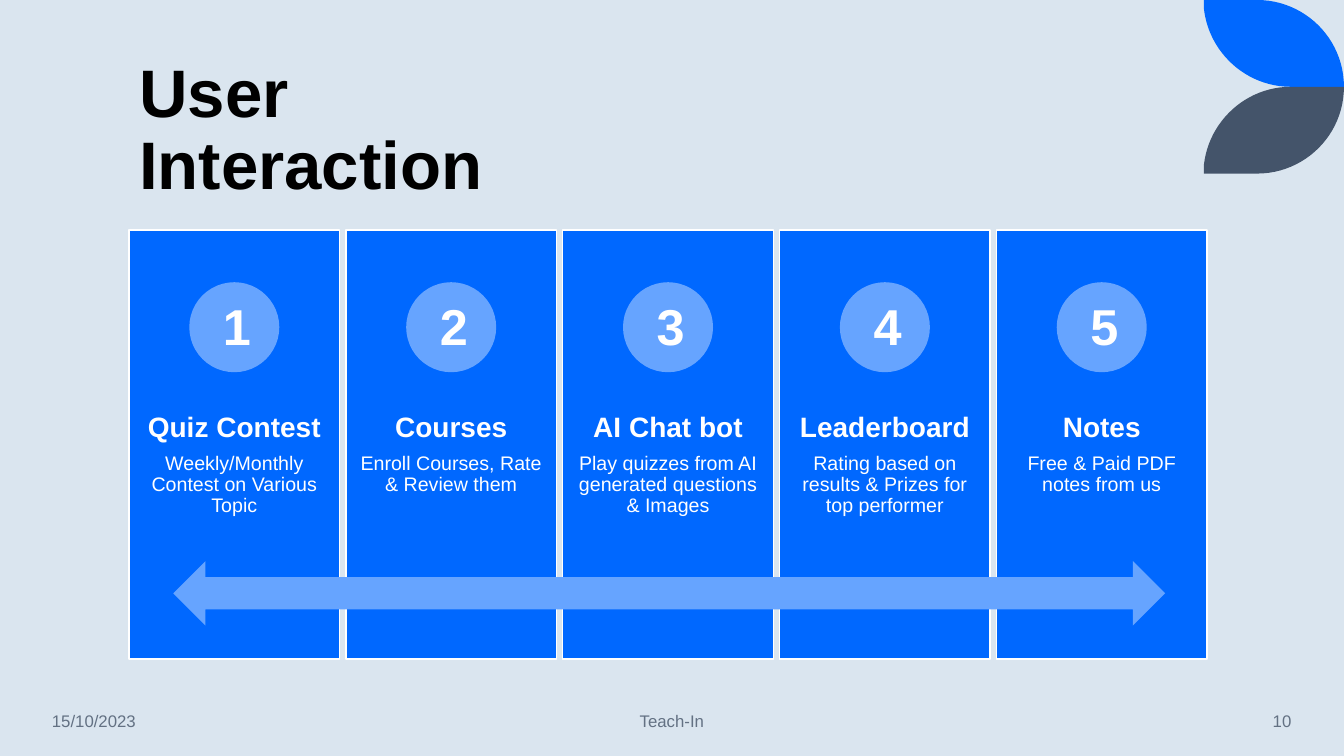
import dataclasses

import pptx
import pptx.dml.color
import pptx.enum.shapes
import pptx.enum.text
import pptx.util

Pt = pptx.util.Pt
Align = pptx.enum.text.PP_ALIGN
Anchor = pptx.enum.text.MSO_ANCHOR
Fit = pptx.enum.text.MSO_AUTO_SIZE
Shape = pptx.enum.shapes.MSO_SHAPE


@dataclasses.dataclass(frozen=True)
class Theme:
    font: str = "Arial"
    background: str = "DAE5EF"
    blue: str = "0068FF"
    light_blue: str = "66A4FF"
    slate: str = "44546A"
    white: str = "FFFFFF"
    black: str = "000000"
    grey: str = "637183"
    title: int = 48
    number: int = 36
    heading: int = 20
    body: int = 14
    footer: int = 12


THEME = Theme()

FEATURES = [
    ("Quiz Contest", "Weekly/Monthly Contest on Various Topic"),
    ("Courses", "Enroll Courses, Rate & Review them"),
    ("AI Chat bot", "Play quizzes from AI generated questions & Images"),
    ("Leaderboard", "Rating based on results & Prizes for top performer"),
    ("Notes", "Free & Paid PDF notes from us"),
]
FOOTERS = [
    ("15/10/2023", 30, 134, Align.LEFT),
    ("Teach-In", 318, 324, Align.CENTER),
    ("10", 799.2, 130.3, Align.RIGHT),
]
CARD_LEFT, CARD_TOP, CARD_WIDTH, CARD_HEIGHT = 92.2, 164.2, 150.4, 306.4
CARD_PITCH = 154.9
CIRCLE = 64.3


def rgb(value):
    return pptx.dml.color.RGBColor.from_string(value)


def write(p, text, size, color, bold=False, align=Align.LEFT, spacing=None, after=0):
    p.alignment = align
    p.line_spacing = spacing
    p.space_before = Pt(0)
    p.space_after = Pt(after)
    r = p.add_run()
    r.text = text
    r.font.name = THEME.font
    r.font.size = Pt(size)
    r.font.bold = bold
    r.font.color.rgb = rgb(color)


def paint(sp, fill, line=None):
    sp.shadow.inherit = False
    sp.fill.solid()
    sp.fill.fore_color.rgb = rgb(fill)
    if line:
        sp.line.color.rgb = rgb(line)
        sp.line.width = Pt(1)
    else:
        sp.line.fill.background()


def add_shape(s, kind, x, y, w, h, fill, line=None):
    sp = s.shapes.add_shape(kind, Pt(x), Pt(y), Pt(w), Pt(h))
    paint(sp, fill, line)
    return sp


def add_text(s, x, y, w, h, anchor=Anchor.TOP):
    tf = s.shapes.add_textbox(Pt(x), Pt(y), Pt(w), Pt(h)).text_frame
    tf.word_wrap = True
    tf.vertical_anchor = anchor
    return tf


def curve(a, b, c, d, steps=24):
    points = []
    for i in range(steps + 1):
        t = i / steps
        u = 1 - t
        weights = (u**3, 3 * u * u * t, 3 * u * t * t, t**3)
        points.append(tuple(sum(k * q[axis] for k, q in zip(weights, (a, b, c, d)))
                            for axis in (0, 1)))
    return points


def add_leaf(s, color, base, direction):
    outline = [(860, 0)]
    outline += curve((898, 0), (932, 0), (960, 27.6), (960, 62))
    outline += curve((922, 62), (890, 62), (863.6, 37.4), (860, 6.5))
    points = [(Pt(x), Pt(base + direction * y)) for x, y in outline]
    builder = s.shapes.build_freeform(*points[0])
    builder.add_line_segments(points[1:], close=True)
    paint(builder.convert_to_shape(), color)


def add_title(s, text):
    sp = s.shapes.title
    sp.left, sp.top, sp.width, sp.height = Pt(92.2), Pt(91.4), Pt(370.8), Pt(58.3)
    tf = sp.text_frame
    tf.word_wrap = True
    tf.auto_size = Fit.NONE
    tf.vertical_anchor = Anchor.BOTTOM
    write(tf.paragraphs[0], text, THEME.title, THEME.black, bold=True, spacing=0.9)


def add_card(s, x, heading, body):
    add_shape(s, Shape.RECTANGLE, x, CARD_TOP, CARD_WIDTH, CARD_HEIGHT,
              THEME.blue, THEME.white)
    add_shape(s, Shape.OVAL, x + (CARD_WIDTH - CIRCLE) / 2, 201.6, CIRCLE, CIRCLE,
              THEME.light_blue)
    tf = add_text(s, x, 287.3, CARD_WIDTH, 122.4)
    tf.margin_left = tf.margin_right = tf.margin_top = tf.margin_bottom = Pt(8)
    write(tf.paragraphs[0], heading, THEME.heading, THEME.white, bold=True,
          align=Align.CENTER, spacing=0.9, after=7)
    write(tf.add_paragraph(), body, THEME.body, THEME.white,
          align=Align.CENTER, spacing=0.9)


def add_number(s, x, number):
    tf = add_text(s, x + 60, 207.4, 27.4, 51)
    tf.auto_size = Fit.SHAPE_TO_FIT_TEXT
    write(tf.paragraphs[0], str(number), THEME.number, THEME.white, bold=True,
          align=Align.CENTER)


def main():
    prs = pptx.Presentation()
    prs.slide_width, prs.slide_height = Pt(960), Pt(540)
    s = prs.slides.add_slide(prs.slide_layouts.get_by_name("Title Only"))
    s.background.fill.solid()
    s.background.fill.fore_color.rgb = rgb(THEME.background)

    add_leaf(s, THEME.blue, 0, 1)
    add_leaf(s, THEME.slate, 124, -1)
    add_title(s, "User Interaction")

    lefts = [CARD_LEFT + i * CARD_PITCH for i in range(len(FEATURES))]
    for x, (heading, body) in zip(lefts, FEATURES):
        add_card(s, x, heading, body)
    add_shape(s, Shape.LEFT_RIGHT_ARROW, 123.8, 400.8, 708.5, 46, THEME.light_blue)
    for number, x in enumerate(lefts, 1):
        add_number(s, x, number)

    for text, x, w, align in FOOTERS:
        tf = add_text(s, x, 500.5, w, 28.8, Anchor.MIDDLE)
        write(tf.paragraphs[0], text, THEME.footer, THEME.grey, align=align)

    prs.save("out.pptx")


if __name__ == "__main__":
    main()
